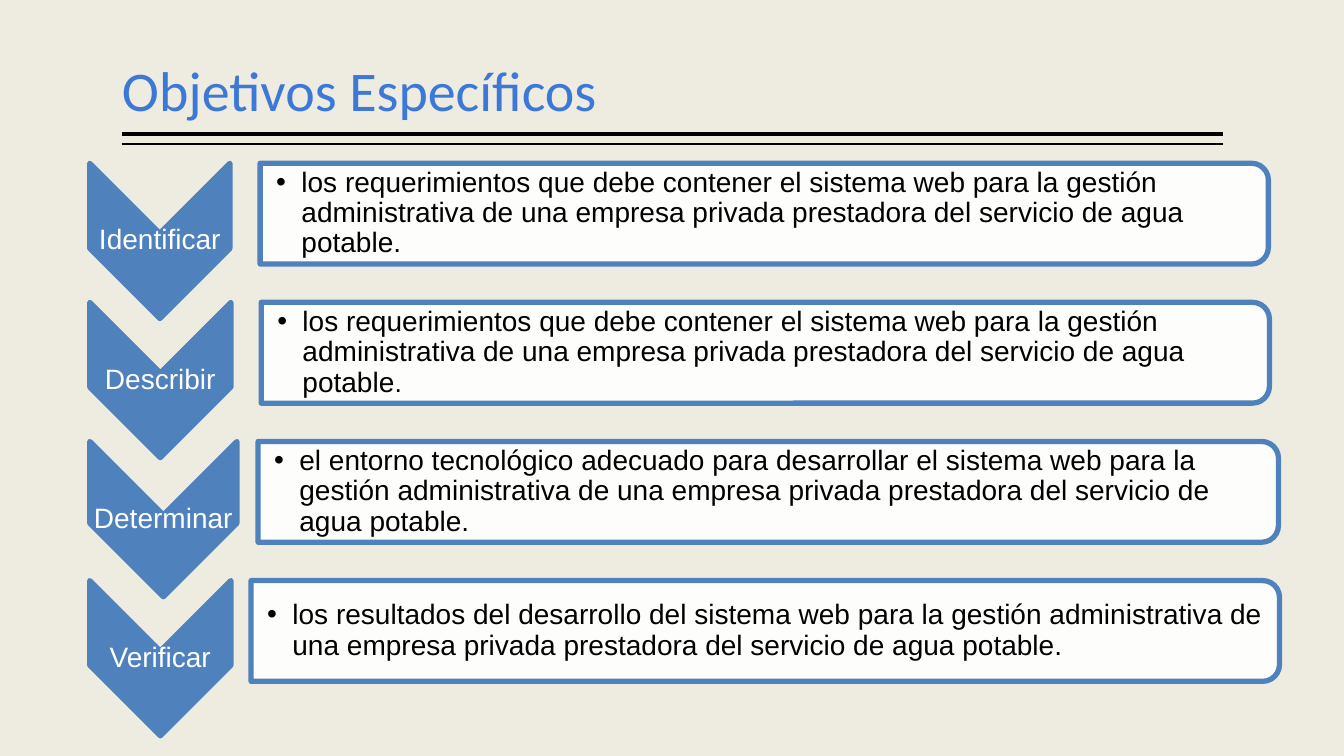
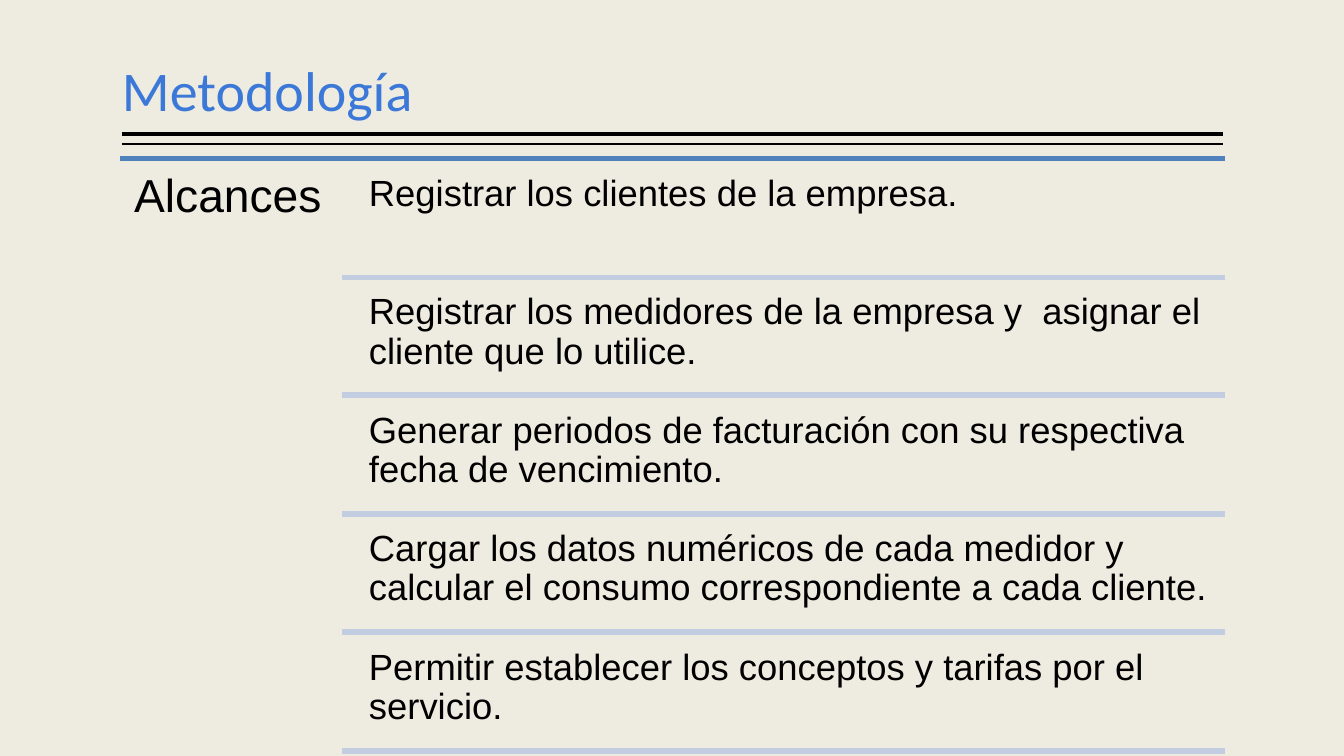
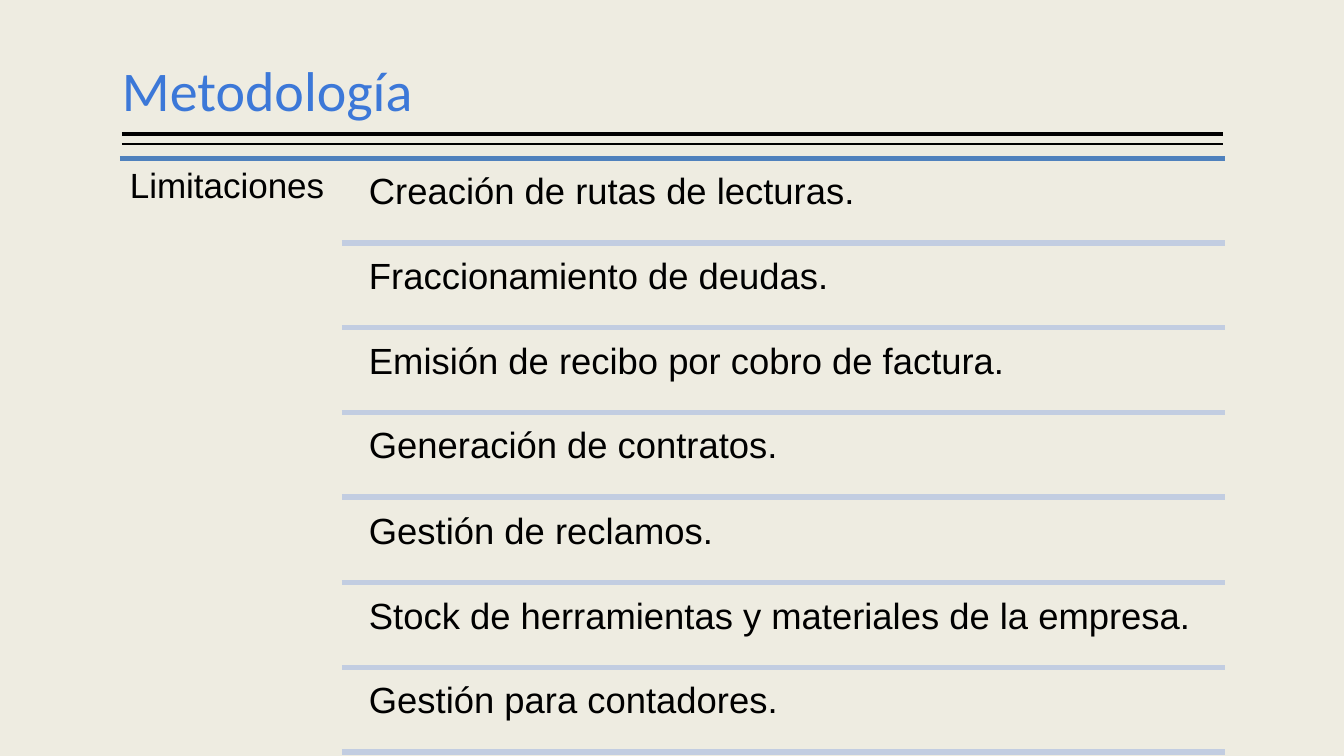
"""Build three slides on objectives, scope and limitations."""
from dataclasses import dataclass

from lxml.etree import SubElement
from pptx import Presentation
from pptx.dml.color import RGBColor
from pptx.enum.shapes import MSO_CONNECTOR, MSO_SHAPE
from pptx.enum.text import MSO_ANCHOR, PP_ALIGN
from pptx.oxml.ns import qn
from pptx.util import Pt

PX = 9144


@dataclass(frozen=True)
class Theme:
    paper: RGBColor = RGBColor.from_string("EEECE1")
    title: RGBColor = RGBColor.from_string("3C78D8")
    accent: RGBColor = RGBColor.from_string("4F81BD")
    pale: RGBColor = RGBColor.from_string("C2CDE1")
    black: RGBColor = RGBColor.from_string("000000")
    white: RGBColor = RGBColor.from_string("FFFFFF")
    head_font: str = "Calibri"
    body_font: str = "Arial"
    title_size: int = 40
    step_size: int = 20
    stop_size: int = 19
    item_size: int = 26
    scope_size: int = 33
    limit_size: int = 25
    edge: float = 3.78


T = Theme()


def add_text(s, box, runs, color=T.black, font=T.body_font, inset=(1, 1), **fmt):
    tf = s.shapes.add_textbox(*(v * PX for v in box)).text_frame
    side, top = inset
    frame = dict(word_wrap=True, vertical_anchor=fmt.pop("anchor", MSO_ANCHOR.TOP),
                 margin_left=side * PX, margin_right=fmt.pop("right", side) * PX,
                 margin_top=top * PX, margin_bottom=top * PX)
    for k, v in frame.items():
        setattr(tf, k, v)
    p = tf.paragraphs[0]
    for k, v in dict(line_spacing=0.9, **fmt).items():
        setattr(p, k, v)
    for text, size in runs:
        r = p.add_run()
        r.text = text
        for k, v in dict(name=font, size=Pt(size)).items():
            setattr(r.font, k, v)
        r.font.color.rgb = color
    return p


def add_rule(s, x1, x2, y, color, width):
    c = s.shapes.add_connector(MSO_CONNECTOR.STRAIGHT, x1 * PX, y * PX, x2 * PX, y * PX)
    c.line.color.rgb = color
    c.line.width = Pt(width)
    SubElement(c._element.spPr, qn("a:effectLst"))


prs = Presentation()
prs.slide_width, prs.slide_height = 1333 * PX, 750 * PX
bg = prs.slide_master.background.fill
bg.solid()
bg.fore_color.rgb = T.paper

slides = []
for title in ("Objetivos Específicos", "Metodología", "Metodología"):
    s = prs.slides.add_slide(prs.slide_layouts[6])
    for y, width in ((133, 3), (143, 1)):
        add_rule(s, 121, 1213, y, T.black, width)
    add_text(s, (121, 8, 1092, 120), [(title, T.title_size)], T.title, T.head_font,
             (0, 5), anchor=MSO_ANCHOR.BOTTOM)
    slides.append(s)

REQUIREMENTS = ("los requerimientos que debe contener el sistema web para la gestión "
                "administrativa de una empresa privada prestadora del servicio de agua potable")
ENVIRONMENT = ("el entorno tecnológico adecuado para desarrollar el sistema web para la gestión "
               "administrativa de una empresa privada prestadora del servicio de agua potable.")
RESULTS = ("los resultados del desarrollo del sistema web para la gestión "
           "administrativa de una empresa privada prestadora del servicio de agua potable.")
steps = (
    ("Identificar", 139, 258, 1000, [(REQUIREMENTS + ".", T.step_size)]),
    ("Describir", 140, 259, 1000, [(REQUIREMENTS, T.step_size), (".", T.stop_size)]),
    ("Determinar", 146, 256, 1012, [(ENVIRONMENT, T.step_size)]),
    ("Verificar", 140, 249, 1020, [(RESULTS, T.step_size)]),
)
CHEVRON_X, CHEVRON_LEN, CARD_H, STEP_TOP, STEP_PITCH = 89, 154, 100, 162, 138
s = slides[0]
for i, (verb, chevron_w, card_x, card_w, runs) in enumerate(steps):
    top = STEP_TOP + i * STEP_PITCH
    mid = top + CHEVRON_LEN // 2
    turned = (
        (MSO_SHAPE.CHEVRON, CHEVRON_X + chevron_w / 2, mid, CHEVRON_LEN, chevron_w, T.accent),
        (MSO_SHAPE.ROUND_2_SAME_RECTANGLE, card_x + card_w / 2, top + CARD_H / 2,
         CARD_H, card_w, T.white),
    )
    for kind, cx, cy, w, h, fill in turned:
        sp = s.shapes.add_shape(kind, *(int(v * PX) for v in (cx - w / 2, cy - h / 2, w, h)))
        sp.rotation = 90
        sp.shadow.inherit = False
        sp.fill.solid()
        sp.fill.fore_color.rgb = fill
        sp.line.color.rgb = T.accent
        sp.line.width = Pt(T.edge)
    card_color = sp._element.spPr.find(qn("a:solidFill")).find(qn("a:srgbClr"))
    SubElement(card_color, qn("a:alpha")).set("val", "90000")
    add_text(s, (CHEVRON_X, mid - 7, chevron_w, 14), [(verb, T.step_size)], T.white,
             anchor=MSO_ANCHOR.MIDDLE, alignment=PP_ALIGN.CENTER)
    p = add_text(s, (card_x, top + 5, card_w - 5, CARD_H - 10), runs, inset=(16, 1),
                 right=1, anchor=MSO_ANCHOR.MIDDLE)
    pPr = p._p.get_or_add_pPr()
    for k, v in dict(marL=25 * PX, indent=-25 * PX).items():
        pPr.set(k, str(v))
    SubElement(pPr, qn("a:buFont")).set("typeface", T.body_font)
    SubElement(pPr, qn("a:buChar")).set("char", "•")

lists = (
    ("Alcances", T.scope_size, 14, (
        "Registrar los clientes de la empresa.",
        "Registrar los medidores de la empresa y  asignar el cliente que lo utilice.",
        "Generar periodos de facturación con su respectiva fecha de vencimiento.",
        "Cargar los datos numéricos de cada medidor y calcular el consumo "
        "correspondiente a cada cliente.",
        "Permitir establecer los conceptos y tarifas por el servicio.")),
    ("Limitaciones", T.limit_size, 10, (
        "Creación de rutas de lecturas.",
        "Fraccionamiento de deudas.",
        "Emisión de recibo por cobro de factura.",
        "Generación de contratos.",
        "Gestión de reclamos.",
        "Stock de herramientas y materiales de la empresa.",
        "Gestión para contadores.")),
)
LEFT, RIGHT, LIST_TOP, LIST_H, GAP = 119, 1215, 157, 593, 0.05
for s, (heading, size, inset, items) in zip(slides[1:], lists):
    add_rule(s, LEFT, RIGHT, LIST_TOP, T.accent, T.edge)
    add_text(s, (LEFT, LIST_TOP, 219, LIST_H), [(heading, size)], inset=(inset, inset))
    n = len(items)
    row_h = LIST_H / (n + (n + 1) * GAP)
    for i, item in enumerate(items):
        top = round(LIST_TOP + row_h * (GAP + i * (1 + GAP)))
        add_text(s, (355, top, 860, round(row_h)), [(item, T.item_size)], inset=(11, 11))
        add_rule(s, 339, RIGHT, top + round(row_h), T.pale, T.edge)

prs.save("out.pptx")
